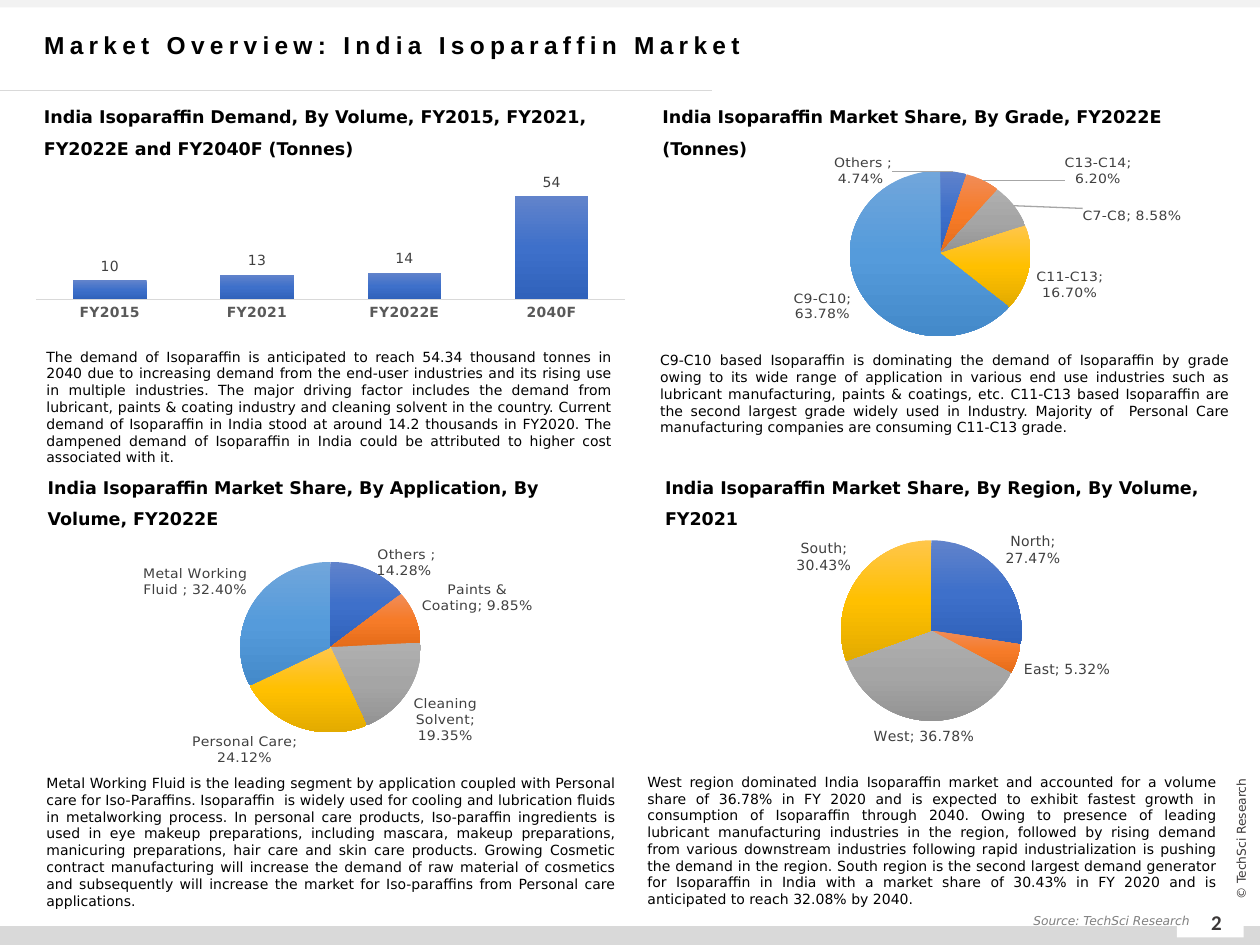
from copy import deepcopy
from pptx import Presentation
from pptx.chart.data import CategoryChartData
from pptx.dml.color import RGBColor
from pptx.enum.chart import XL_CHART_TYPE, XL_LABEL_POSITION, XL_TICK_MARK
from pptx.enum.shapes import MSO_CONNECTOR, MSO_SHAPE
from pptx.enum.text import MSO_ANCHOR, PP_ALIGN
from pptx.oxml import parse_xml
from pptx.oxml.ns import nsdecls, qn
from pptx.util import Inches, Pt

BLACK = RGBColor(0x00, 0x00, 0x00)
WHITE = RGBColor(0xFF, 0xFF, 0xFF)
DARK = RGBColor(0x3B, 0x38, 0x38)
LABEL = RGBColor(0x40, 0x40, 0x40)
AXIS = RGBColor(0x59, 0x59, 0x59)
GREY = RGBColor(0x7F, 0x7F, 0x7F)
RULE = RGBColor(0xD9, 0xD9, 0xD9)
PALE = RGBColor(0xF2, 0xF2, 0xF2)
SHADES = [[RGBColor.from_string(c) for c in row.split()] for row in (
    "6183CB 3E70CA 3062BB", "F18C57 F67B28 E56C19", "AFAFAF A5A5A5 939393",
    "FFC64B FFC000 E3AB00", "71A6DB 559BDB 448ACA")]
SANS = "DejaVu Sans"

TITLE = "Market Overview: India Isoparaffin Market"
BARS = [(0, 0, 10, 0.06, PALE), (0, 7.35, 10, 0.15, RULE),
        (9.34, 7.22, 0.53, 0.22, WHITE)]

HEADS = [
    (0.25, 0.71, 4.59, "India Isoparaffin Demand, By Volume, FY2015, FY2021, "
     "FY2022E and FY2040F (Tonnes)"),
    (5.16, 0.71, 4.84, "India Isoparaffin Market Share, By Grade, FY2022E (Tonnes)"),
    (0.28, 3.65, 4.69, "India Isoparaffin Market Share, By Application, By Volume, FY2022E"),
    (5.18, 3.65, 4.69, "India Isoparaffin Market Share, By Region, By Volume, FY2021"),
]

NOTES = [
    (0.27, 2.66, 4.69, 1.14,
     "The demand of Isoparaffin is anticipated to reach 54.34 thousand tonnes in 2040 due to "
     "increasing demand from the end-user industries and its rising use in multiple industries. "
     "The major driving factor includes the demand from lubricant, paints & coating industry and "
     "cleaning solvent in the country. Current demand of Isoparaffin in India stood at around "
     "14.2 thousands in FY2020. The dampened demand of Isoparaffin in India could be attributed "
     "to higher cost associated with it."),
    (5.14, 2.64, 4.72, 0.97,
     "C9-C10 based Isoparaffin is dominating the demand of Isoparaffin by grade owing to its wide "
     "range of application in various end use industries such as lubricant manufacturing, paints "
     "& coatings, etc. C11-C13 based Isoparaffin are the second largest grade widely used in "
     "Industry. Majority of  Personal Care manufacturing companies are consuming C11-C13 grade."),
    (0.27, 6.07, 4.72, 1.22,
     "Metal Working Fluid is the leading segment by application coupled with Personal care for "
     "Iso-Paraffins. Isoparaffin  is widely used for cooling and lubrication fluids in "
     "metalworking process. In personal care products, Iso-paraffin ingredients is used in eye "
     "makeup preparations, including mascara, makeup preparations, manicuring preparations, hair "
     "care and skin care products. Growing Cosmetic contract manufacturing will increase the "
     "demand of raw material of cosmetics and subsequently will increase the market for "
     "Iso-paraffins from Personal care applications."),
    (5.04, 6.1, 4.72, 1.14,
     "West region dominated India Isoparaffin market and accounted for a volume share of 36.78% "
     "in FY 2020 and is expected to exhibit fastest growth in consumption of Isoparaffin through "
     "2040. Owing to presence of leading lubricant manufacturing industries in the region, "
     "followed by rising demand from various downstream industries following rapid "
     "industrialization is pushing the demand in the region. South region is the second largest "
     "demand generator for Isoparaffin in India with a market share of 30.43% in FY 2020 and is "
     "anticipated to reach 32.08% by 2040."),
]

DEMAND = {"FY2015": 10, "FY2021": 13, "FY2022E": 14, "2040F": 54}
USES = {" Others ": 0.1428, "Paints & Coating": 0.0985, "Cleaning Solvent": 0.1935,
        "Personal Care": 0.2412, "Metal Working Fluid ": 0.324}
REGIONS = {"North": 0.2747, "East": 0.0532, "West": 0.3678, "South": 0.3043}
GRADES = {" Others ": 0.0474, "C13-C14": 0.062, "C7-C8": 0.0858,
          "C11-C13": 0.167, "C9-C10": 0.6378}
SHIFTS = [(-0.24, 0.06), (0.15, 0.03), (0.12, 0.09)]


def style(font, size, color, name=SANS, bold=False, italic=False):
    font.size, font.name, font.bold, font.italic = Pt(size), name, bold, italic
    font.color.rgb = color


def write(shape, text, size, color, align=PP_ALIGN.LEFT, anchor=MSO_ANCHOR.TOP,
          space=None, **look):
    frame = shape.text_frame
    frame.word_wrap, frame.vertical_anchor = True, anchor
    para = frame.paragraphs[0]
    para.alignment = align
    if space:
        para.line_spacing = space
    run = para.add_run()
    run.text = text
    style(run.font, size, color, **look)
    return run


def add_box(shapes, *at):
    return shapes.add_textbox(*map(Inches, at))


def add_bar(shapes, x, y, w, h, color):
    bar = shapes.add_shape(MSO_SHAPE.RECTANGLE, *map(Inches, (x, y, w, h)))
    bar.shadow.inherit = False
    bar.fill.solid()
    bar.fill.fore_color.rgb = color
    bar.line.fill.background()
    return bar


def shade(part, colors):
    """Fill a series or point with a three-stop gradient, top to bottom."""
    fill = part.format.fill
    fill.gradient()
    fill.gradient_angle = 270
    stops = part.format._element.xpath("./c:spPr//a:gsLst")[0]
    stops.append(deepcopy(stops[0]))
    for stop, color, pos in zip(fill.gradient_stops, colors, (0, 0.5, 1)):
        stop.color.rgb, stop.position = color, pos


def layout(values, inner=False):
    """Make a manual layout from x, y and, for a plot area, w, h."""
    tags = "<c:layoutTarget val='inner'/>" if inner else ""
    if inner:
        tags += "<c:xMode val='edge'/><c:yMode val='edge'/>"
    tags += "".join(f"<c:{k} val='{v}'/>" for k, v in zip("xywh", values))
    return parse_xml(f"<c:layout {nsdecls('c')}><c:manualLayout>{tags}"
                     "</c:manualLayout></c:layout>")


def add_chart(shapes, kind, at, data, form, plot):
    source = CategoryChartData(number_format=form)
    source.categories = list(data)
    source.add_series("Series 1", list(data.values()))
    chart = shapes.add_chart(kind, *map(Inches, at), source).chart
    chart.has_title = chart.has_legend = False
    style(chart.font, 8, BLACK)
    area = chart._chartSpace.chart.plotArea
    for old in area.findall(qn("c:layout")):
        area.remove(old)
    area.insert(0, layout(plot, inner=True))
    series = chart.plots[0].series[0]
    labels = series.data_labels
    labels.show_value = True
    labels.number_format, labels.number_format_is_linked = form, False
    labels.position = XL_LABEL_POSITION.OUTSIDE_END
    style(labels.font, 8, LABEL)
    return chart, series


def add_pie(shapes, at, data, shifts=()):
    chart, series = add_chart(shapes, XL_CHART_TYPE.PIE, at, data, "0.00%",
                              (0.19, 0.06, 0.65, 0.67))
    chart.plots[0].vary_by_categories = True
    series.data_labels.show_category_name = True
    for i, colors in enumerate(SHADES[:len(data)]):
        shade(series.points[i], colors)
    for i, shift in enumerate(shifts):
        label = series.points[i].data_label
        style(label.font, 8, LABEL)
        label.position = XL_LABEL_POSITION.OUTSIDE_END
        node = label._get_or_add_dLbl()
        node.find(qn("c:showCatName")).set("val", "1")
        node.insert(1, layout(shift))
        node.insert(2, parse_xml(f"<c:numFmt {nsdecls('c')} formatCode='0.00%' "
                                 "sourceLinked='0'/>"))
    if shifts:
        series.data_labels._element.append(parse_xml(
            f"<c:leaderLines {nsdecls('c', 'a')}><c:spPr><a:ln w='9525'><a:solidFill>"
            "<a:srgbClr val='A6A6A6'/></a:solidFill></a:ln></c:spPr></c:leaderLines>"))


def add_columns(shapes, at, data):
    chart, series = add_chart(shapes, XL_CHART_TYPE.COLUMN_CLUSTERED, at, data, "#,##0",
                              (0, 0.11, 1, 0.59))
    plot = chart.plots[0]
    plot.gap_width, plot.overlap, plot.vary_by_categories = 100, -24, False
    shade(series, SHADES[0])
    scale = chart.value_axis
    scale.minimum_scale, scale.maximum_scale = 0, 60
    scale.has_major_gridlines = scale.visible = False
    axis = chart.category_axis
    axis.major_tick_mark = axis.minor_tick_mark = XL_TICK_MARK.NONE
    axis.format.line.color.rgb, axis.format.line.width = RULE, Pt(1)
    style(axis.tick_labels.font, 8, AXIS, bold=True)


def main():
    deck = Presentation()
    deck.slide_width, deck.slide_height = Inches(10), Inches(7.5)
    slide = deck.slides.add_slide(deck.slide_layouts[5])
    shapes, title = slide.shapes, slide.shapes.title
    title.left, title.top, title.width, title.height = map(Inches, (0.25, 0.19, 6.88, 0.32))
    run = write(title, TITLE, 14, BLACK, anchor=MSO_ANCHOR.MIDDLE, space=Pt(17),
                name="Arial", bold=True)
    run.font._element.set("spc", "300")

    for bar in BARS:
        add_bar(shapes, *bar)
    rule = shapes.add_connector(MSO_CONNECTOR.STRAIGHT, *map(Inches, (0, 0.72, 5.65, 0.72)))
    rule.line.color.rgb, rule.line.width = RULE, Pt(0.5)
    rule._element.spPr.append(parse_xml(f"<a:effectLst {nsdecls('a')}/>"))
    mid = dict(align=PP_ALIGN.CENTER, anchor=MSO_ANCHOR.MIDDLE)
    write(add_box(shapes, 9.41, 7.12, 0.49, 0.4), "2", 12, DARK, name="Calibri", bold=True, **mid)
    side = add_box(shapes, 9.25, 6.58, 1.2, 0.16)
    side.rotation = 270
    write(side, "© TechSci Research", 7, DARK, **mid)
    write(add_box(shapes, 7.13, 7.2, 2.41, 0.22), "Source: TechSci Research", 7, GREY,
          align=PP_ALIGN.RIGHT, italic=True)

    add_columns(shapes, (0.28, 1.3, 4.69, 1.54), DEMAND)
    add_pie(shapes, (0.27, 4.22, 4.57, 2.14), USES)
    add_pie(shapes, (5.26, 4.16, 4.14, 2.14), REGIONS)
    for x, y, w, text in HEADS:
        write(add_box(shapes, x, y, w, 0.57), text, 10, BLACK, space=1.5, bold=True)
    for *at, text in NOTES[:3]:
        write(add_bar(shapes, *at, WHITE), text, 8, BLACK,
              align=PP_ALIGN.JUSTIFY, anchor=MSO_ANCHOR.MIDDLE)
    *at, text = NOTES[3]
    write(add_box(shapes, *at), text, 8, BLACK,
          align=PP_ALIGN.JUSTIFY, anchor=MSO_ANCHOR.MIDDLE)
    add_pie(shapes, (5.33, 1.06, 4.14, 2.14), GRADES, SHIFTS)
    deck.save("out.pptx")


if __name__ == "__main__":
    main()
